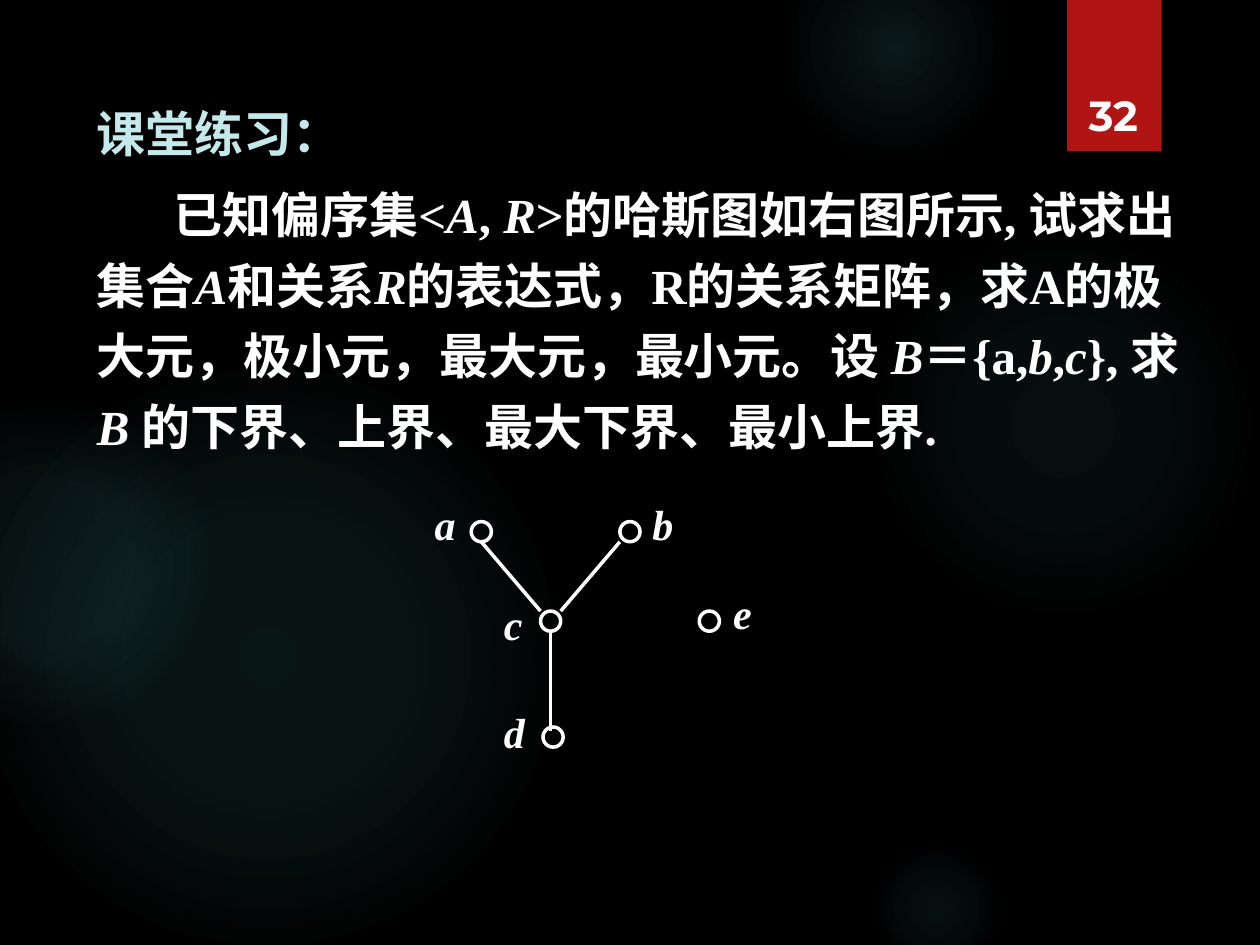
"""Build the class exercise slide on the Hasse diagram of a partially ordered set."""
from dataclasses import dataclass

from lxml import etree
from pptx import Presentation
from pptx import util as u
from pptx.dml.color import RGBColor
from pptx.enum import shapes, text
from pptx.oxml import parse_xml
from pptx.oxml.ns import nsdecls, qn


@dataclass(frozen=True)
class Theme:
    background: str = "000000"
    glow: str = "50B9C1"
    ribbon: str = "B01513"
    heading: str = "C5E8EA"
    ink: str = "FFFFFF"
    heading_font: str = "Arial"
    body_font: str = "Times New Roman"
    number_font: str = "Montserrat"
    body_size: int = 28
    label_size: int = 24
    line_width: int = 2


theme = Theme()
ink = RGBColor.from_string(theme.ink)
COLUMNS, ROWS = 100, 75

deck = Presentation()
deck.slide_width, deck.slide_height = u.Inches(10), u.Inches(7.5)
page = deck.slides.add_slide(deck.slide_layouts[6])
page.background.fill.solid()
page.background.fill.fore_color.rgb = RGBColor.from_string(theme.background)


def grid(*cells):
    """Turn alternating column and row counts into lengths."""
    units = (deck.slide_width / COLUMNS, deck.slide_height / ROWS)
    return [round(cell * units[index % 2]) for index, cell in enumerate(cells)]


def write(frame, content, font, size, color=theme.ink, align=text.PP_ALIGN.LEFT,
          leading=1.0, before=0, indent=0):
    """Add a paragraph whose parts between asterisks are italic."""
    para = frame.paragraphs[0]
    if para.runs:
        para = frame.add_paragraph()
    para.alignment, para.line_spacing = align, leading
    para.space_before = u.Pt(before)
    if indent:
        para._p.get_or_add_pPr().set("indent", str(grid(indent)[0]))
    for index, part in enumerate(content.split("*")):
        if part:
            span = para.add_run()
            span.text = part
            span.font.name, span.font.size = font, u.Pt(size)
            span.font.bold, span.font.italic = True, index % 2 == 1
            span.font.color.rgb = RGBColor.from_string(color)


# left, top, diameter, then (position, opacity) stops in percent
glows = [
    (68.9, 18.3, 30.8, ((0, 7), (36, 6), (69, 0))),
    (62.2, -5, 17.5, ((0, 14), (36, 7), (73, 0))),
    (68.9, 66.7, 10.8, ((0, 9), (36, 5), (66, 0))),
    (-1.7, 29.2, 45.8, ((0, 11), (36, 10), (75, 0))),
    (-9.2, 31.7, 25.8, ((0, 8), (36, 8), (72, 0))),
]
for left, top, diameter, stops in glows:
    glow = page.shapes.add_shape(shapes.MSO_SHAPE.OVAL, *grid(left, top, diameter, diameter))
    glow.shadow.inherit = False
    glow.line.fill.background()
    stop_list = "".join(
        f'<a:gs pos="{position * 1000}"><a:srgbClr val="{theme.glow}">'
        f'<a:alpha val="{opacity * 1000}"/></a:srgbClr></a:gs>'
        for position, opacity in stops)
    glow._element.spPr.find(qn("a:prstGeom")).addnext(parse_xml(
        f'<a:gradFill {nsdecls("a")}><a:gsLst>{stop_list}</a:gsLst><a:path path="circle">'
        '<a:fillToRect l="50000" t="50000" r="50000" b="50000"/></a:path></a:gradFill>'))

ribbon = page.shapes.add_shape(shapes.MSO_SHAPE.RECTANGLE, *grid(84.7, 0, 7.5, 12))
ribbon.shadow.inherit = False
ribbon.fill.solid()
ribbon.fill.fore_color.rgb = RGBColor.from_string(theme.ribbon)
ribbon.line.fill.background()
ribbon._element.spPr.find(qn("a:effectLst")).append(parse_xml(
    f'<a:outerShdw {nsdecls("a")} blurRad="{u.Pt(3)}" dist="{u.Pt(2)}" dir="5400000">'
    '<a:srgbClr val="000000"><a:alpha val="45000"/></a:srgbClr></a:outerShdw>'))

exercise = page.shapes.add_textbox(*grid(6.7, 6.8, 88.2, 30)).text_frame
exercise.word_wrap = True
write(exercise, "课堂练习：", theme.heading_font, theme.body_size, theme.heading, leading=1.2)
write(exercise,
      "已知偏序集<*A*, *R*>的哈斯图如右图所示, 试求出集合*A*和关系*R*的表达式，"
      "R的关系矩阵，求A的极大元，极小元，最大元，最小元。设 *B*＝{a,*b*,*c*}, 求 *B *"
      "的下界、上界、最大下界、最小上界.",
      theme.body_font, theme.body_size, leading=1.2, before=6, indent=6.1)

# node position, then label position
nodes = {
    "a": (37.4, 41.4, 33.5, 39.1),
    "b": (49.2, 41.4, 50.8, 39.1),
    "c": (42.9, 48.5, 39, 47),
    "d": (43.1, 57.7, 39, 55.6),
    "e": (55.5, 48.5, 57.2, 46.1),
}
for name, (left, top, label_left, label_top) in nodes.items():
    node = page.shapes.add_shape(shapes.MSO_SHAPE.OVAL, *grid(left, top, 1.6, 1.6))
    node.shadow.inherit = False
    node.fill.background()
    node.line.color.rgb, node.line.width = ink, u.Pt(theme.line_width)
    label = page.shapes.add_textbox(*grid(label_left, label_top, 3.9, 5)).text_frame
    label.word_wrap = True
    write(label, f"*{name}*", theme.body_font, theme.label_size)

edges = [(38.2, 43, 42.9, 48.5), (49.2, 43, 44.5, 48.5), (43.7, 50.1, 43.7, 58)]
for ends in edges:
    edge = page.shapes.add_connector(shapes.MSO_CONNECTOR.STRAIGHT, *grid(*ends))
    edge.line.color.rgb, edge.line.width = ink, u.Pt(theme.line_width)
    etree.SubElement(edge._element.spPr, qn("a:effectLst"))

number = page.shapes.add_textbox(*grid(84.9, 3.2, 6.9, 8.4)).text_frame
number.word_wrap = True
number.vertical_anchor = text.MSO_ANCHOR.BOTTOM
write(number, "32", theme.number_font, theme.label_size, align=text.PP_ALIGN.CENTER)

deck.save("out.pptx")
